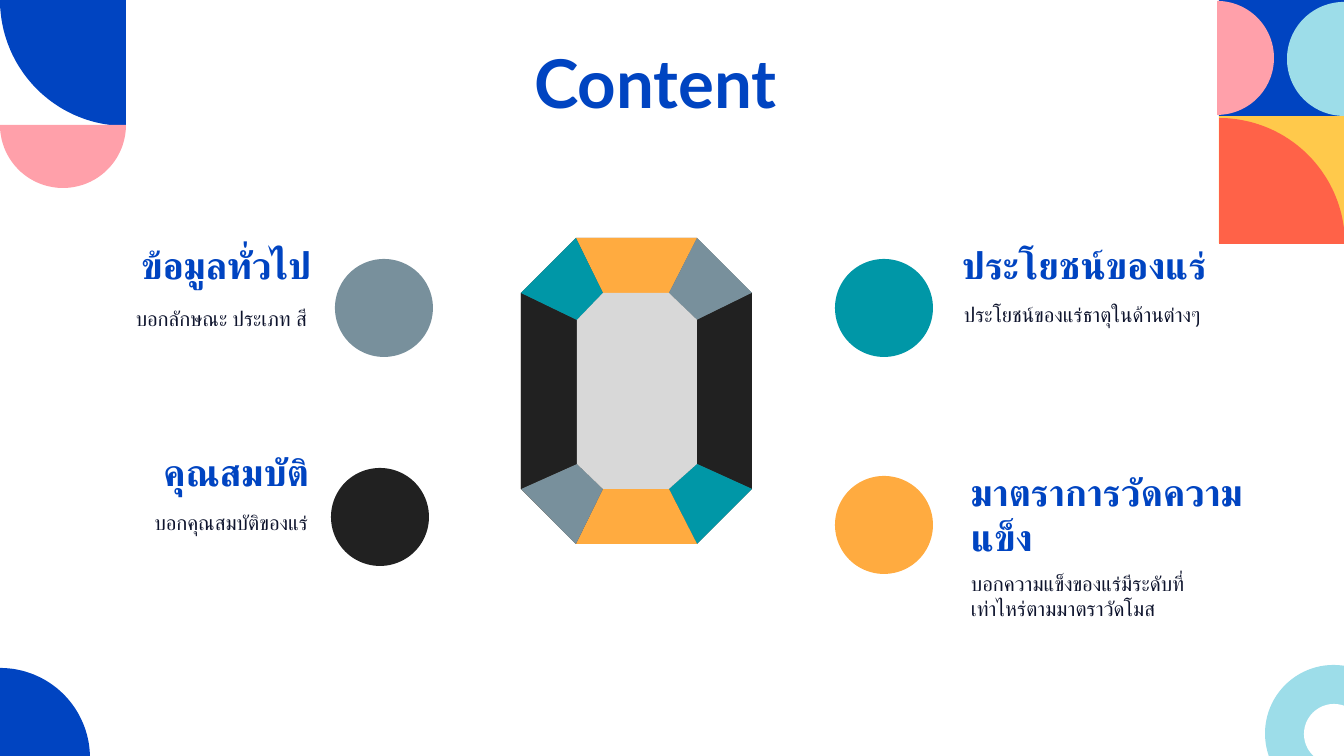
"""Build the mineral lesson's content slide with a faceted gem and four topics."""
from dataclasses import dataclass
from math import cos, radians, sin

from lxml.etree import SubElement
from pptx import Presentation
from pptx.dml.color import RGBColor
from pptx.enum.shapes import MSO_SHAPE
from pptx.enum.text import PP_ALIGN
from pptx.oxml.ns import qn
from pptx.util import Emu, Pt

WIDTH, HEIGHT = 1344, 756
EMU_PER_PX = 9144000 / WIDTH
Point = tuple[float, float]


@dataclass(frozen=True)
class Theme:
    font: str = "Lato"
    title_size: int = 36
    heading_size: int = 20
    body_size: int = 11
    blue: str = "0044C1"
    ink: str = "0E142D"
    pink: str = "FFA0AA"
    sky: str = "9DDDE9"
    yellow: str = "FFC94B"
    red: str = "FF6248"
    white: str = "FFFFFF"
    teal: str = "0097A7"
    slate: str = "78909C"
    orange: str = "FFAB40"
    black: str = "212121"
    silver: str = "D8D8D8"
    brown: str = "594E41"


THEME = Theme()


@dataclass(frozen=True)
class Box:
    left: int
    top: int
    width: int
    height: int


@dataclass(frozen=True)
class Sector:
    cx: int
    cy: int
    radius: int
    start: int
    end: int
    color: str


@dataclass(frozen=True)
class Topic:
    heading: str
    body: str
    heading_box: Box
    body_box: Box
    dot: Point
    color: str
    align: PP_ALIGN


SECTORS = [
    Sector(126, 0, 126, 90, 180, THEME.blue),
    Sector(63, 125, 63, 0, 180, THEME.pink),
    Sector(1217, 58, 57, -90, 90, THEME.pink),
    Sector(1344, 59, 57, 90, 270, THEME.sky),
    Sector(0, 758, 90, -90, 0, THEME.blue),
    Sector(1219, 244, 126, -90, 0, THEME.red),
]

GEM_OUTER = [(576, 238), (697, 238), (752, 293), (752, 489),
             (697, 544), (576, 544), (521, 489), (521, 293)]
GEM_INNER = [(603, 293), (669, 293), (697, 320), (697, 464),
             (669, 489), (603, 489), (577, 464), (577, 320)]
FACET_COLORS = [THEME.orange, THEME.slate, THEME.black, THEME.teal]

DOT_SIZE = 98
TOPICS = [
    Topic("ข้อมูลทั่วไป", "บอกลักษณะ ประเภท สี", Box(0, 237, 321, 65),
          Box(19, 301, 298, 82), (335, 259), THEME.slate, PP_ALIGN.RIGHT),
    Topic("คุณสมบัติ", "บอกคุณสมบัติของแร่", Box(19, 444, 300, 65),
          Box(20, 505, 298, 82), (331, 468), THEME.black, PP_ALIGN.RIGHT),
    Topic("ประโยชน์ของแร่", "ประโยชน์ของแร่ธาตุในด้านต่างๆ", Box(952, 237, 300, 65),
          Box(954, 297, 298, 82), (835, 259), THEME.teal, PP_ALIGN.LEFT),
    Topic("มาตราการวัดความแข็ง", "บอกความแข็งของแร่มีระดับที่\nเท่าไหร่ตามมาตราวัดโมส",
          Box(961, 464, 300, 98), Box(961, 566, 298, 82), (835, 476),
          THEME.orange, PP_ALIGN.LEFT),
]


def px(value: float) -> Emu:
    return Emu(round(value * EMU_PER_PX))


def paint(sp, color: str) -> None:
    sp.shadow.inherit = False
    sp.fill.solid()
    sp.fill.fore_color.rgb = RGBColor.from_string(color)
    sp.line.fill.background()


def add_preset(s, kind: MSO_SHAPE, box: Box, color: str) -> None:
    sp = s.shapes.add_shape(kind, px(box.left), px(box.top), px(box.width), px(box.height))
    paint(sp, color)


def add_circle(s, left: int, top: int, size: int, color: str) -> None:
    add_preset(s, MSO_SHAPE.OVAL, Box(left, top, size, size), color)


def add_polygon(s, points: list[Point], color: str) -> None:
    first, *rest = [(px(x), px(y)) for x, y in points]
    builder = s.shapes.build_freeform(*first)
    builder.add_line_segments(rest, close=True)
    paint(builder.convert_to_shape(), color)


def add_sector(s, sector: Sector) -> None:
    angles = [radians(a) for a in range(sector.start, sector.end + 1, 2)]
    arc = [(sector.cx + sector.radius * cos(a), sector.cy + sector.radius * sin(a))
           for a in angles]
    add_polygon(s, [(sector.cx, sector.cy), *arc], sector.color)


def add_gem(s) -> None:
    add_polygon(s, GEM_OUTER, THEME.brown)
    count = len(GEM_OUTER)
    for i in range(count):
        j = (i + 1) % count
        facet = [GEM_OUTER[i], GEM_OUTER[j], GEM_INNER[j], GEM_INNER[i]]
        add_polygon(s, facet, FACET_COLORS[i % len(FACET_COLORS)])
    add_polygon(s, GEM_INNER, THEME.silver)


def add_text(s, text: str, box: Box, size: int, color: str, align: PP_ALIGN,
             bold: bool = False) -> None:
    sp = s.shapes.add_textbox(px(box.left), px(box.top), px(box.width), px(box.height))
    tf = sp.text_frame
    tf.word_wrap = True
    tf.margin_left = tf.margin_right = px(10)
    tf.margin_top = tf.margin_bottom = px(5)
    tf.text = text
    for p in tf.paragraphs:
        p.alignment = align
        for r in p.runs:
            r.font.size = Pt(size)
            r.font.bold = bold
            r.font.color.rgb = RGBColor.from_string(color)
            r.font.name = THEME.font
            SubElement(r.font._element, qn("a:cs"), typeface=THEME.font)


def add_topic(s, topic: Topic) -> None:
    add_circle(s, *topic.dot, DOT_SIZE, topic.color)
    add_text(s, topic.body, topic.body_box, THEME.body_size, THEME.ink, topic.align)
    add_text(s, topic.heading, topic.heading_box, THEME.heading_size, THEME.blue,
             topic.align, bold=True)


def main() -> None:
    prs = Presentation()
    prs.slide_width, prs.slide_height = px(WIDTH), px(HEIGHT)
    s = prs.slides.add_slide(prs.slide_layouts[6])
    add_preset(s, MSO_SHAPE.RECTANGLE, Box(1219, 116, 125, 127), THEME.yellow)
    add_preset(s, MSO_SHAPE.RECTANGLE, Box(1219, 0, 125, 116), THEME.blue)
    add_circle(s, 1265, 665, 137, THEME.sky)
    add_circle(s, 1304, 704, 60, THEME.white)
    for sector in SECTORS:
        add_sector(s, sector)
    add_gem(s)
    for topic in TOPICS:
        add_topic(s, topic)
    add_text(s, "Content", Box(95, 36, 1121, 112), THEME.title_size, THEME.blue,
             PP_ALIGN.CENTER, bold=True)
    prs.save("out.pptx")


if __name__ == "__main__":
    main()
